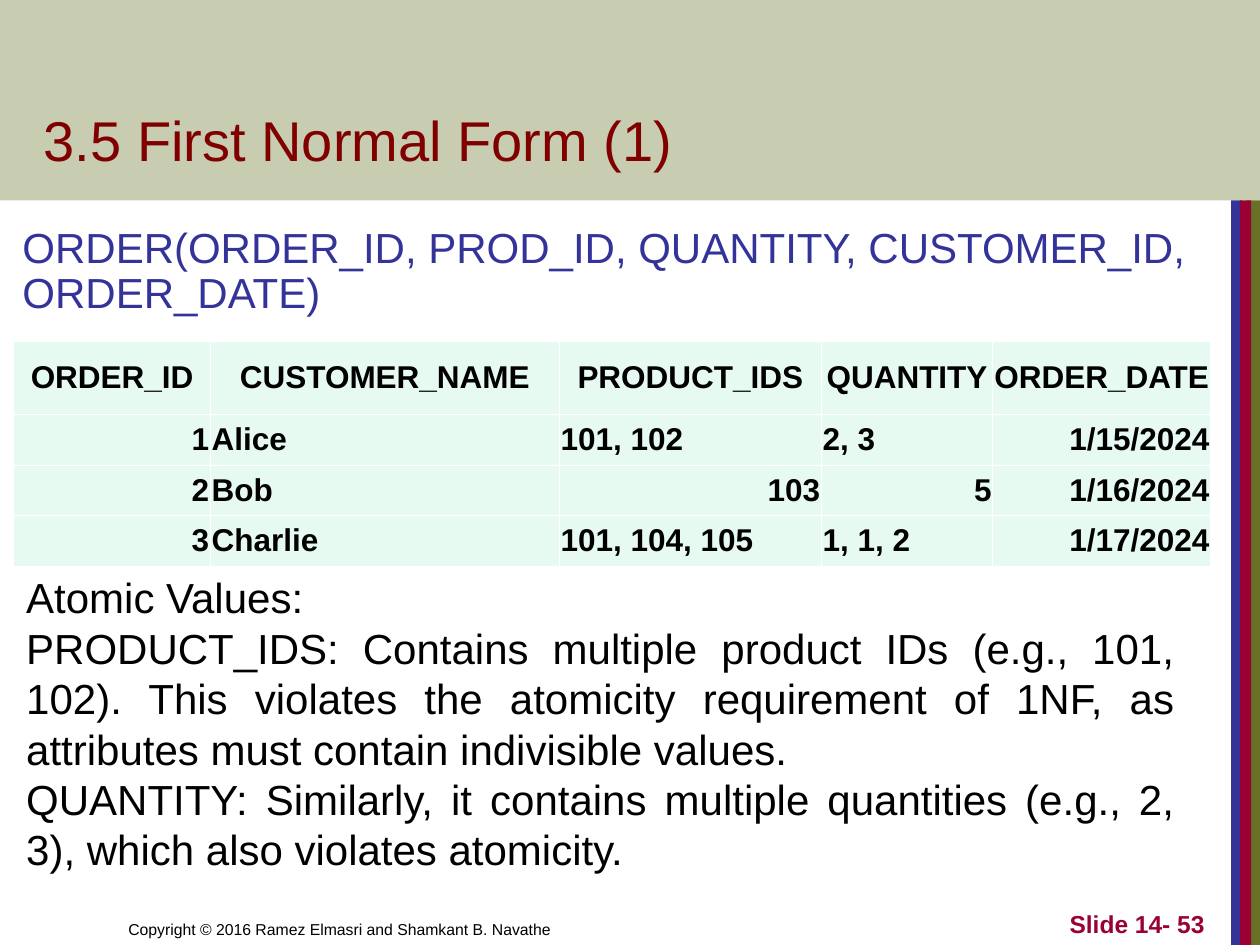
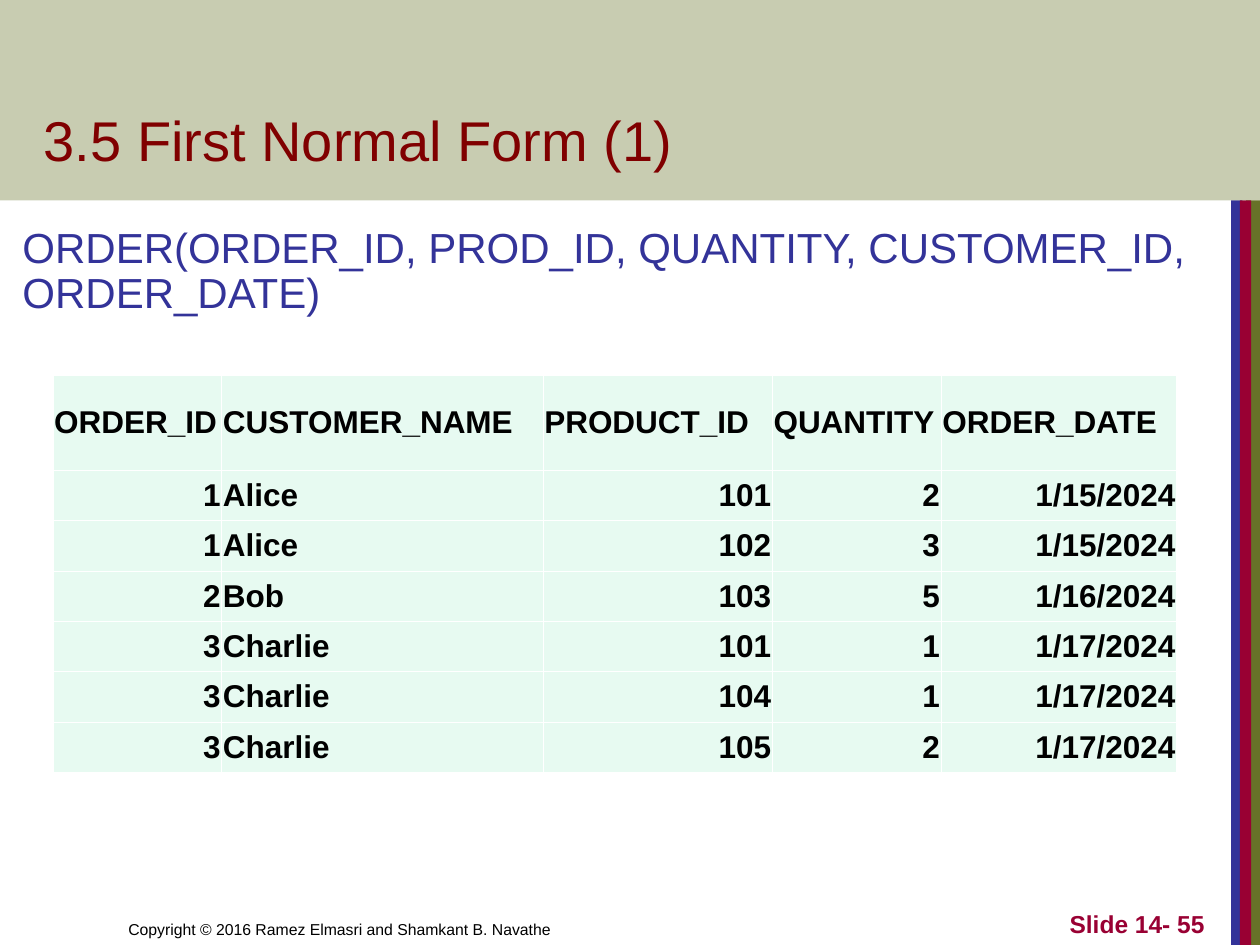
from dataclasses import dataclass

from lxml.etree import SubElement
from pptx import Presentation
from pptx.dml.color import RGBColor
from pptx.enum.shapes import MSO_SHAPE as Preset
from pptx.enum.text import MSO_ANCHOR as Anchor, PP_ALIGN as Align
from pptx.oxml import parse_xml
from pptx.oxml.ns import nsdecls, qn
from pptx.util import Inches, Pt


@dataclass(frozen=True)
class Theme:
    font: str = "Arial"
    olive: str = "677228"
    blue: str = "333399"
    crimson: str = "990033"
    maroon: str = "800000"
    black: str = "000000"
    mint: str = "E7FAF1"
    white: str = "FFFFFF"
    title_size: int = 32
    body_size: int = 24
    table_size: int = 18
    number_size: int = 14
    copyright_size: int = 9
    border_width: float = 0.45
    band_opacity: int = 36


THEME = Theme()
GRID_COLUMNS, GRID_ROWS = 100, 75
SLIDE_WIDTH, SLIDE_HEIGHT = Inches(10), Inches(7.5)
BAND_ROWS = 15.9

TITLE = "3.5 First Normal Form (1)"
SCHEMA = "ORDER(ORDER_ID, PROD_ID, QUANTITY, CUSTOMER_ID, ORDER_DATE)"
COPYRIGHT = "Copyright © 2016 Ramez Elmasri and Shamkant B. Navathe"

UNNORMALIZED_ORDERS = [
    ("ORDER_ID", "CUSTOMER_NAME", "PRODUCT_IDS", "QUANTITY", "ORDER_DATE"),
    ("1", "Alice", "101, 102", "2, 3", "1/15/2024"),
    ("2", "Bob", "103", "5", "1/16/2024"),
    ("3", "Charlie", "101, 104, 105", "1, 1, 2", "1/17/2024"),
]
NORMALIZED_ORDERS = [
    ("ORDER_ID", "CUSTOMER_NAME", "PRODUCT_ID", "QUANTITY", "ORDER_DATE"),
    ("1", "Alice", "101", "2", "1/15/2024"),
    ("1", "Alice", "102", "3", "1/15/2024"),
    ("2", "Bob", "103", "5", "1/16/2024"),
    ("3", "Charlie", "101", "1", "1/17/2024"),
    ("3", "Charlie", "104", "1", "1/17/2024"),
    ("3", "Charlie", "105", "2", "1/17/2024"),
]
ATOMICITY_NOTES = [
    "Atomic Values:",
    "PRODUCT_IDS: Contains multiple product IDs (e.g., 101, 102). This violates "
    "the atomicity requirement of 1NF, as attributes must contain indivisible values.",
    "QUANTITY: Similarly, it contains multiple quantities (e.g., 2, 3), "
    "which also violates atomicity.",
]


def across(columns):
    return round(SLIDE_WIDTH * columns / GRID_COLUMNS)


def down(rows):
    return round(SLIDE_HEIGHT * rows / GRID_ROWS)


def place(left, top, columns, rows):
    return across(left), down(top), across(columns), down(rows)


def style_paragraph(paragraph, size, color, bold=False, align=Align.LEFT):
    paragraph.alignment = align
    for run in paragraph.runs:
        run.font.name = THEME.font
        run.font.size = Pt(size)
        run.font.bold = bold
        run.font.color.rgb = RGBColor.from_string(color)


def add_text(slide, area, paragraphs, size, color, bold=False,
             align=Align.LEFT, anchor=Anchor.TOP):
    text_frame = slide.shapes.add_textbox(*place(*area)).text_frame
    text_frame.word_wrap = True
    text_frame.vertical_anchor = anchor
    text_frame.text = "\n".join(paragraphs)
    for paragraph in text_frame.paragraphs:
        style_paragraph(paragraph, size, color, bold, align)
    return text_frame


def add_block(slide, area, color, opacity=100):
    block = slide.shapes.add_shape(Preset.RECTANGLE, *place(*area))
    block.shadow.inherit = False
    block.line.fill.background()
    block.fill.solid()
    block.fill.fore_color.rgb = RGBColor.from_string(color)
    if opacity < 100:
        fill_color = block.fill._xPr.find(qn("a:solidFill"))[0]
        SubElement(fill_color, qn("a:alpha"), val=str(opacity * 1000))


def add_frame(slide, slide_number):
    stripes = [(98.9, 1.1, THEME.olive), (97.7, 0.9, THEME.blue), (98.4, 0.9, THEME.crimson)]
    for left, columns, color in stripes:
        add_block(slide, (left, BAND_ROWS, columns, GRID_ROWS - BAND_ROWS), color)
    add_block(slide, (0, 0, GRID_COLUMNS, BAND_ROWS), THEME.olive, THEME.band_opacity)
    add_text(slide, (9.2, 70, 49.2, 5), [COPYRIGHT], THEME.copyright_size,
             THEME.black, anchor=Anchor.BOTTOM)
    add_text(slide, (2.5, 3.3, 85.3, 10.9), [TITLE], THEME.title_size,
             THEME.maroon, anchor=Anchor.BOTTOM)
    add_text(slide, (75.8, 70, 20.8, 5), [f"Slide 14- {slide_number}"],
             THEME.number_size, THEME.crimson, True, Align.RIGHT, Anchor.BOTTOM)


def add_schema(slide):
    text_frame = add_text(slide, (0.8, 17.5, 95.8, 10.9), [SCHEMA],
                          THEME.body_size, THEME.blue)
    text_frame.margin_right = 0
    text_frame.paragraphs[0].line_spacing = 0.9


def add_borders(cell):
    properties = cell._tc.get_or_add_tcPr()
    for position, side in enumerate(("lnL", "lnR", "lnT", "lnB")):
        properties.insert(position, parse_xml(
            f'<a:{side} {nsdecls("a")} w="{Pt(THEME.border_width)}"><a:solidFill>'
            f'<a:srgbClr val="{THEME.white}"/></a:solidFill></a:{side}>'))


def value_alignment(value):
    return Align.RIGHT if value.replace("/", "").isdigit() else Align.LEFT


def fill_cell(cell, value, align):
    cell.fill.solid()
    cell.fill.fore_color.rgb = RGBColor.from_string(THEME.mint)
    cell.vertical_anchor = Anchor.MIDDLE
    cell.margin_left = cell.margin_right = Inches(0.01)
    cell.text_frame.text = value
    style_paragraph(cell.text_frame.paragraphs[0], THEME.table_size, THEME.black, True, align)
    add_borders(cell)


def add_orders(slide, orders, left, top, widths, header_rows, body_rows, header_align):
    heights = [header_rows] + [body_rows] * (len(orders) - 1)
    area = place(left, top, sum(widths), sum(heights))
    table = slide.shapes.add_table(len(orders), len(widths), *area).table
    table.first_row = table.horz_banding = False
    for column, width in zip(table.columns, widths):
        column.width = across(width)
    for row, height in zip(table.rows, heights):
        row.height = down(height)
    for row_index, order in enumerate(orders):
        for column_index, value in enumerate(order):
            align = value_alignment(value) if row_index else header_align
            fill_cell(table.cell(row_index, column_index), value, align)


def start_slide(presentation, slide_number):
    slide = presentation.slides.add_slide(presentation.slide_layouts[6])
    add_frame(slide, slide_number)
    add_schema(slide)
    return slide


def main():
    presentation = Presentation()
    presentation.slide_width, presentation.slide_height = SLIDE_WIDTH, SLIDE_HEIGHT

    slide = start_slide(presentation, 53)
    add_orders(slide, UNNORMALIZED_ORDERS, 1.1, 27.1,
               (15.6, 27.7, 20.8, 13.6, 17.3), 5.8, 3.8, Align.CENTER)
    add_text(slide, (1.1, 44.9, 93.1, 25), ATOMICITY_NOTES, THEME.body_size,
             THEME.black, align=Align.JUSTIFY)

    slide = start_slide(presentation, 55)
    add_orders(slide, NORMALIZED_ORDERS, 4.2, 29.8,
               (13.4, 25.5, 18.2, 13.4, 18.7), 7.5, 3.9, Align.LEFT)

    presentation.save("out.pptx")


if __name__ == "__main__":
    main()
